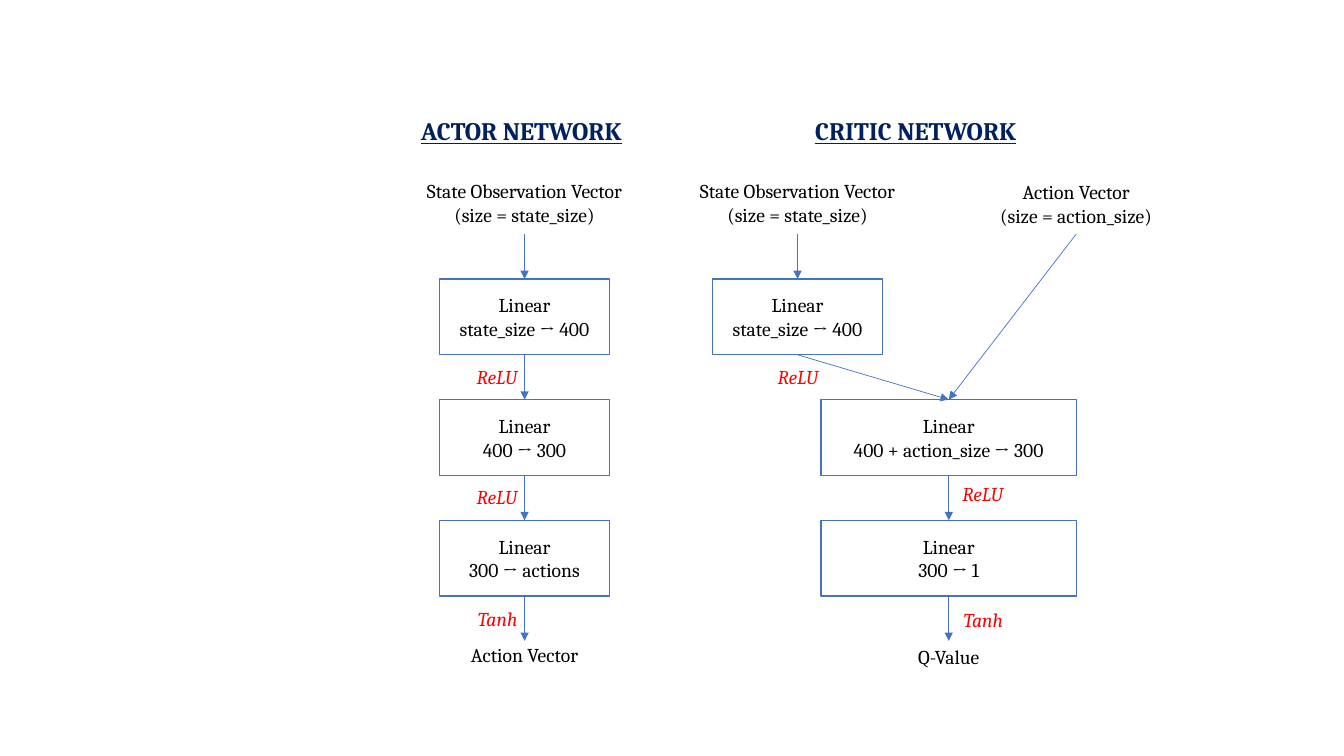
"""Draw the layers of an actor network and a critic network side by side."""
from lxml import etree
from pptx import Presentation
from pptx.dml.color import RGBColor
from pptx.enum.shapes import MSO_CONNECTOR, MSO_SHAPE
from pptx.enum.text import MSO_ANCHOR, PP_ALIGN
from pptx.oxml.ns import qn
from pptx.util import Cm, Pt

CENTER, LEFT, RIGHT = PP_ALIGN.CENTER, PP_ALIGN.LEFT, PP_ALIGN.RIGHT
MIDDLE = MSO_ANCHOR.MIDDLE
RECTANGLE = MSO_SHAPE.RECTANGLE
STRAIGHT = MSO_CONNECTOR.STRAIGHT

COLORS = {"text": "000000", "title": "002060", "activation": "FF0000", "line": "4472C4"}
FONT = "Cambria"

ACTOR_X, STATE_X, CRITIC_X, ACTION_X = 13.22, 20.1, 23.91, 27.12
NARROW, WIDE = 4.29, 6.43
LAYER_HEIGHT, ARROW_LENGTH = 1.91, 1.13
LAYER_TOPS = [7.03 + row * (LAYER_HEIGHT + ARROW_LENGTH) for row in range(3)]
LAYER_BOTTOMS = [top + LAYER_HEIGHT for top in LAYER_TOPS]
INPUT_BOTTOM = LAYER_TOPS[0] - ARROW_LENGTH
OUTPUT_TOP = LAYER_BOTTOMS[2] + ARROW_LENGTH


def write(shape, lines, align=CENTER, color="text", size=14, **style):
    """Fill a shape with one paragraph per line."""
    frame = shape.text_frame
    frame.word_wrap = True
    for number, line in enumerate(lines):
        paragraph = frame.add_paragraph() if number else frame.paragraphs[0]
        paragraph.alignment = align
        run = paragraph.add_run()
        run.text = line
        run.font.name = FONT
        run.font.size = Pt(size)
        run.font.color.rgb = RGBColor.from_string(COLORS[color])
        for name, value in style.items():
            setattr(run.font, name, value)


prs = Presentation()
prs.slide_width, prs.slide_height = Cm(33.87), Cm(19.05)
slide = prs.slides.add_slide(prs.slide_layouts[6])
shapes = slide.shapes

layers = [
    (ACTOR_X, 0, NARROW, "state_size → 400"),
    (ACTOR_X, 1, NARROW, "400 → 300"),
    (ACTOR_X, 2, NARROW, "300 → actions"),
    (STATE_X, 0, NARROW, "state_size → 400"),
    (CRITIC_X, 1, WIDE, "400 + action_size → 300"),
    (CRITIC_X, 2, WIDE, "300 → 1"),
]
for center, row, width, sizes in layers:
    layer = shapes.add_shape(RECTANGLE, Cm(center - width / 2), Cm(LAYER_TOPS[row]),
                             Cm(width), Cm(LAYER_HEIGHT))
    layer.shadow.inherit = False
    layer.fill.background()
    layer.line.color.rgb = RGBColor.from_string(COLORS["line"])
    layer.line.width = Pt(1)
    layer.text_frame.vertical_anchor = MIDDLE
    write(layer, ["Linear", sizes])

titles = [(13.14, WIDE, "ACTOR NETWORK"), (23.08, 12.52, "CRITIC NETWORK")]
for center, width, name in titles:
    title = shapes.add_textbox(Cm(center - width / 2), Cm(2.79), Cm(width), Cm(1.02))
    write(title, [name], color="title", size=18, bold=True, underline=True)

vectors = [
    (ACTOR_X, 4.39, ["State Observation Vector", "(size = state_size)"]),
    (STATE_X, 4.39, ["State Observation Vector", "(size = state_size)"]),
    (ACTION_X, 4.42, ["Action Vector", "(size = action_size)"]),
    (ACTOR_X, 16.08, ["Action Vector"]),
    (CRITIC_X, 16.13, ["Q-Value"]),
]
for center, top, lines in vectors:
    vector = shapes.add_textbox(Cm(center - WIDE / 2), Cm(top), Cm(WIDE),
                                Cm(0.26 + 0.6 * len(lines)))
    write(vector, lines)

activations = [
    (11.46, 9.07, "ReLU", RIGHT),
    (11.46, 12.09, "ReLU", RIGHT),
    (11.46, 15.16, "Tanh", RIGHT),
    (19.35, 9.07, "ReLU", LEFT),
    (23.7, 12.01, "ReLU", RIGHT),
    (23.7, 15.19, "Tanh", RIGHT),
]
for left, top, name, align in activations:
    activation = shapes.add_textbox(Cm(left), Cm(top), Cm(1.83), Cm(0.86))
    write(activation, [name], align, "activation", italic=True)

flows = [
    (ACTOR_X, INPUT_BOTTOM, ACTOR_X, LAYER_TOPS[0]),
    (ACTOR_X, LAYER_BOTTOMS[0], ACTOR_X, LAYER_TOPS[1]),
    (ACTOR_X, LAYER_BOTTOMS[1], ACTOR_X, LAYER_TOPS[2]),
    (ACTOR_X, LAYER_BOTTOMS[2], ACTOR_X, OUTPUT_TOP),
    (STATE_X, INPUT_BOTTOM, STATE_X, LAYER_TOPS[0]),
    (STATE_X, LAYER_BOTTOMS[0], CRITIC_X, LAYER_TOPS[1]),
    (ACTION_X, INPUT_BOTTOM, CRITIC_X, LAYER_TOPS[1]),
    (CRITIC_X, LAYER_BOTTOMS[1], CRITIC_X, LAYER_TOPS[2]),
    (CRITIC_X, LAYER_BOTTOMS[2], CRITIC_X, OUTPUT_TOP),
]
for flow in flows:
    arrow = shapes.add_connector(STRAIGHT, *(Cm(value) for value in flow))
    arrow.line.color.rgb = RGBColor.from_string(COLORS["line"])
    arrow.line.width = Pt(0.5)
    etree.SubElement(arrow.line._get_or_add_ln(), qn("a:tailEnd"), type="triangle")
    etree.SubElement(arrow._element.spPr, qn("a:effectLst"))

prs.save("out.pptx")
